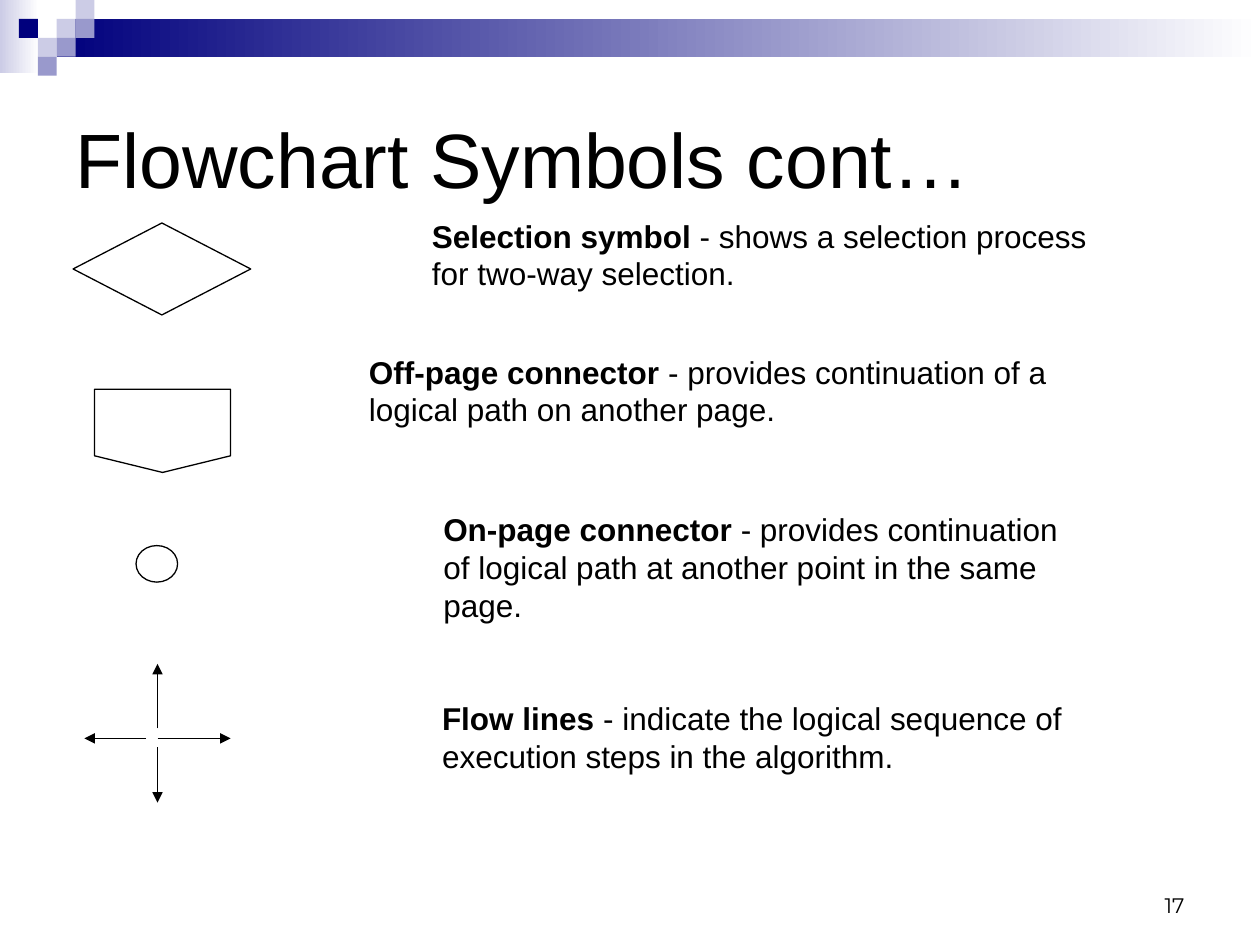
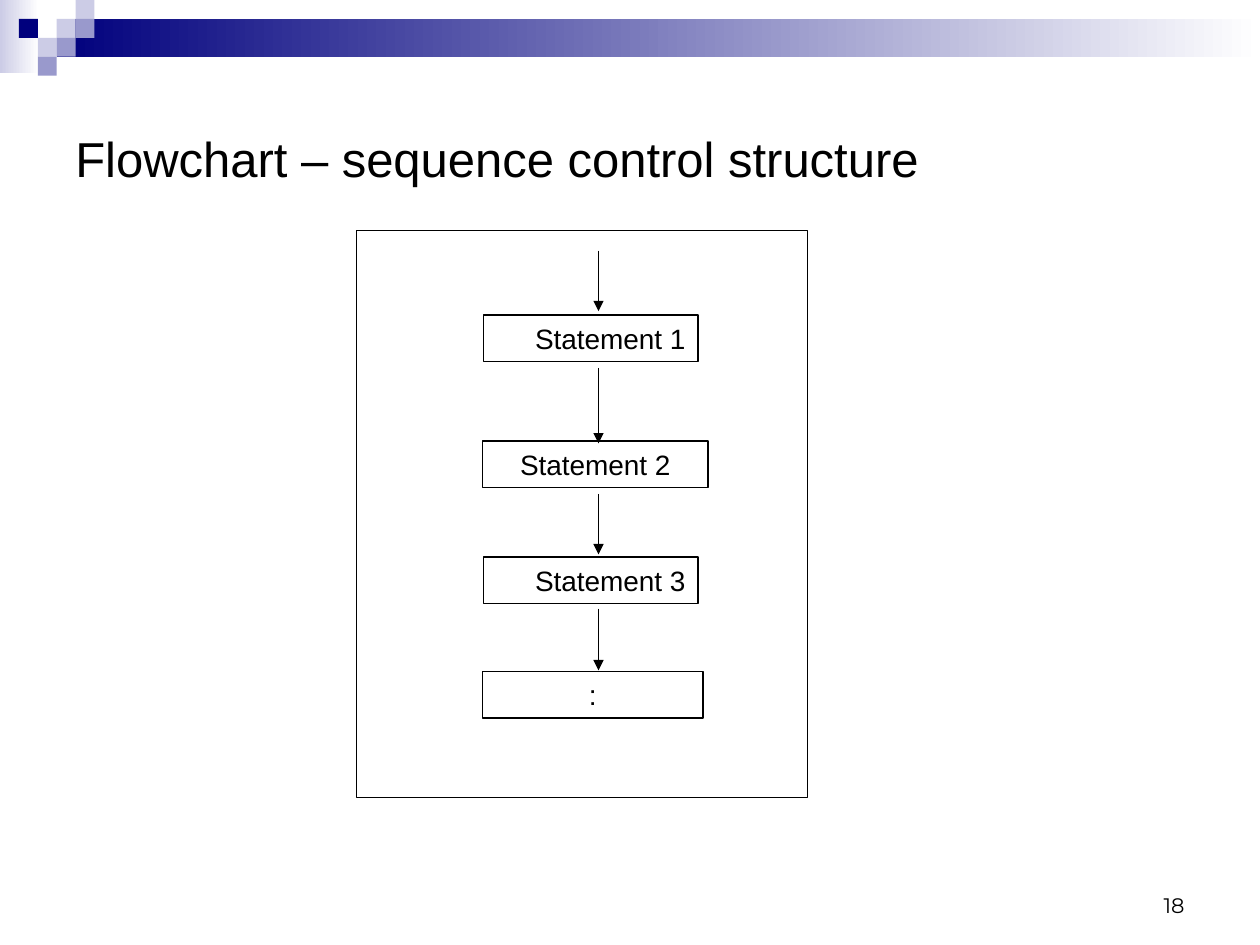
from lxml.etree import SubElement
from pptx import Presentation
from pptx.dml.color import RGBColor
from pptx.enum.shapes import MSO_CONNECTOR as Link, MSO_SHAPE as Shape
from pptx.enum.text import MSO_ANCHOR as Anchor, PP_ALIGN as Align
from pptx.oxml.ns import qn
from pptx.util import Emu, Pt

SCALE = 9144  # EMU in one px, 100 px to the inch
BLACK, WHITE = "000000", "FFFFFF"
NAVY, MID, PALE = "00007D", "9999CC", "CCCCE6"
TILE = 15
TILES = [(3, 1, PALE), (4, 0, PALE), (4, 1, MID), (2, 2, PALE),
         (1, 1, NAVY), (3, 2, MID), (2, 3, MID)]


def px(*nums):
    return [Emu(n * SCALE) for n in nums]


def tint(code):
    return RGBColor.from_string(code)


class Deck:
    font = "Arial"
    ink = BLACK
    weight = Pt(0.75)

    def __init__(self):
        self.prs = Presentation()
        self.prs.slide_width, self.prs.slide_height = px(1000, 750)
        self.slide = None

    # Shared look of every slide
    def page(self, title, size, num):
        self.slide = self.prs.slides.add_slide(self.prs.slide_layouts[6])
        self.band((0, 0, 31, 58), PALE)
        self.band((45, 15, 955, 30), NAVY)
        for col, row, code in TILES:
            self.shape(Shape.RECTANGLE,
                       (col * TILE, row * TILE, TILE, TILE), code)
        self.text((717, 683, 233, 50), [str(num)], 12, align=Align.RIGHT,
                  anchor=Anchor.BOTTOM, font="Montserrat")
        self.text((50, 50, 900, 150), [title], size, anchor=Anchor.MIDDLE)

    def shape(self, kind, box, fill=None):
        item = self.slide.shapes.add_shape(kind, *px(*box))
        item.shadow.inherit = False
        if fill:
            item.fill.solid()
            item.fill.fore_color.rgb = tint(fill)
            item.line.fill.background()
        else:
            item.fill.background()
            item.line.color.rgb = tint(self.ink)
            item.line.width = self.weight
        return item

    def band(self, box, start):
        fill = self.shape(Shape.RECTANGLE, box, start).fill
        fill.gradient()
        fill.gradient_angle = 0
        for stop, code in zip(fill.gradient_stops, (start, WHITE)):
            stop.color.rgb = tint(code)

    def label(self, frame, lines, size, align, anchor, font=None, term=""):
        frame.word_wrap = True
        frame.vertical_anchor = anchor
        frame.text = "\n".join(lines)
        if term:
            first = frame.paragraphs[0]
            first.text = term
            first.add_run().text = lines[0]
            first.runs[0].font.bold = True
        for para in frame.paragraphs:
            para.alignment = align
            for run in para.runs:
                run.font.name = font or self.font
                run.font.size = Pt(size)
                run.font.color.rgb = tint(self.ink)

    def text(self, box, lines, size, align=Align.LEFT, anchor=Anchor.TOP,
             font=None, term=""):
        item = self.slide.shapes.add_textbox(*px(*box))
        self.label(item.text_frame, lines, size, align, anchor, font, term)

    def step(self, box, name, align):
        item = self.shape(Shape.RECTANGLE, box)
        self.label(item.text_frame, [name], 16, align, Anchor.TOP)

    def arrow(self, *ends):
        item = self.slide.shapes.add_connector(Link.STRAIGHT, *px(*ends))
        item.line.color.rgb = tint(self.ink)
        item.line.width = self.weight
        props = item._element.spPr
        SubElement(props.find(qn("a:ln")), qn("a:tailEnd"), type="triangle")
        SubElement(props, qn("a:effectLst"))

    def save(self):
        self.prs.save("out.pptx")


def symbols(deck):
    deck.page("Flowchart Symbols cont…", 44, 17)

    # Symbols on the left
    deck.shape(Shape.FLOWCHART_DECISION, (58, 177, 141, 73))
    deck.shape(Shape.FLOWCHART_OFFPAGE_CONNECTOR, (75, 309, 108, 66))
    deck.shape(Shape.FLOWCHART_CONNECTOR, (108, 433, 33, 29))
    for ends in [(125, 578, 125, 527), (125, 586, 183, 586),
                 (125, 593, 125, 637), (116, 586, 67, 586)]:
        deck.arrow(*ends)

    # What each symbol means
    notes = [
        ((333, 167, 550, 70), "Selection symbol",
         [" - shows a selection process", "for two-way selection."]),
        ((283, 275, 625, 70), "Off-page connector",
         [" - provides continuation of a logical path on another page."]),
        ((342, 400, 520, 100), "On-page connector",
         [" - provides continuation",
          "of logical path at another point in the same", "page."]),
        ((341, 550, 525, 70), "Flow lines",
         [" - indicate the logical sequence of",
          "execution steps in the algorithm."]),
    ]
    for box, term, lines in notes:
        deck.text(box, lines, 18, term=term)


def sequence(deck):
    deck.page("Flowchart – sequence control structure", 28, 18)
    deck.shape(Shape.RECTANGLE, (283, 183, 358, 450))

    # Steps, each with its box and the arrow above it
    steps = [
        ("Statement 1", (384, 250, 170), Align.RIGHT, (199, 247)),
        ("Statement 2", (383, 350, 179), Align.CENTER, (292, 352)),
        ("Statement 3", (384, 442, 170), Align.RIGHT, (392, 440)),
        (":", (383, 533, 175), Align.CENTER, (483, 532)),
    ]
    for name, place, align, (top, tip) in steps:
        deck.step((*place, 37), name, align)
        deck.arrow(475, top, 475, tip)


def main():
    deck = Deck()
    symbols(deck)
    sequence(deck)
    deck.save()


if __name__ == "__main__":
    main()
